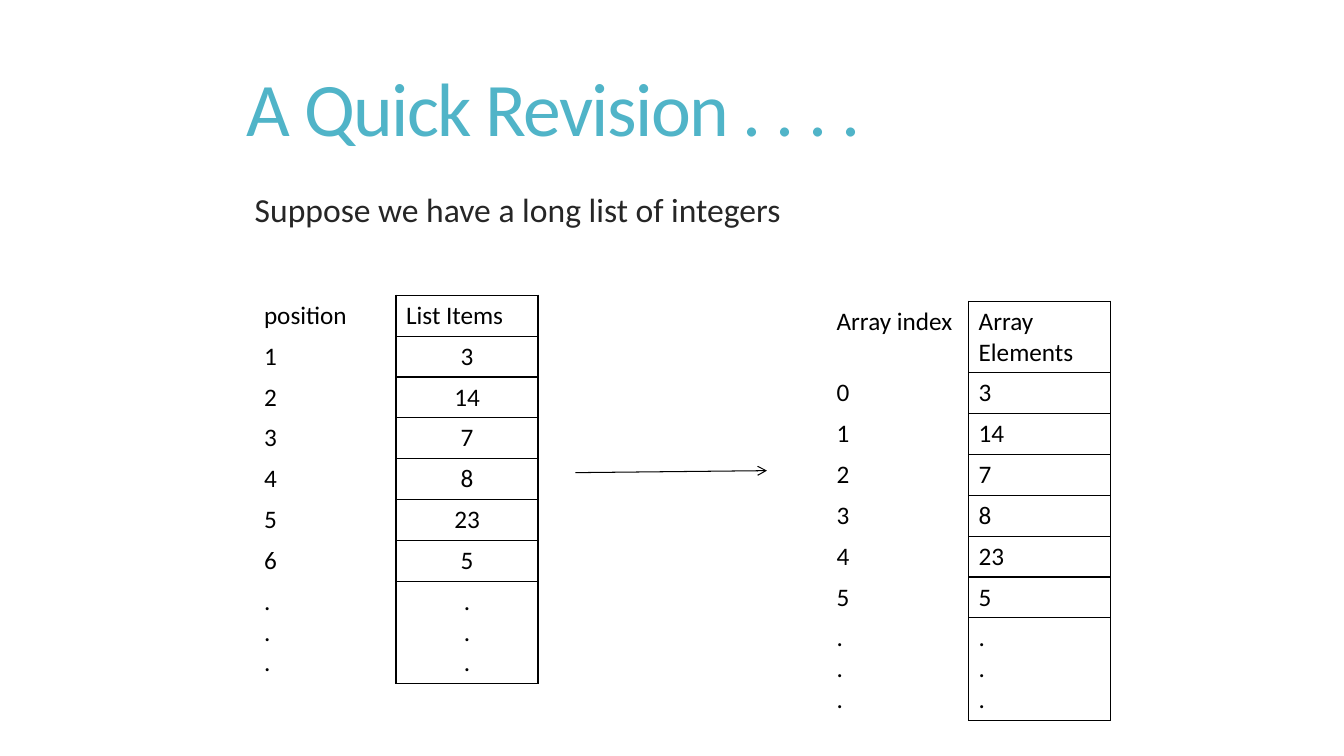
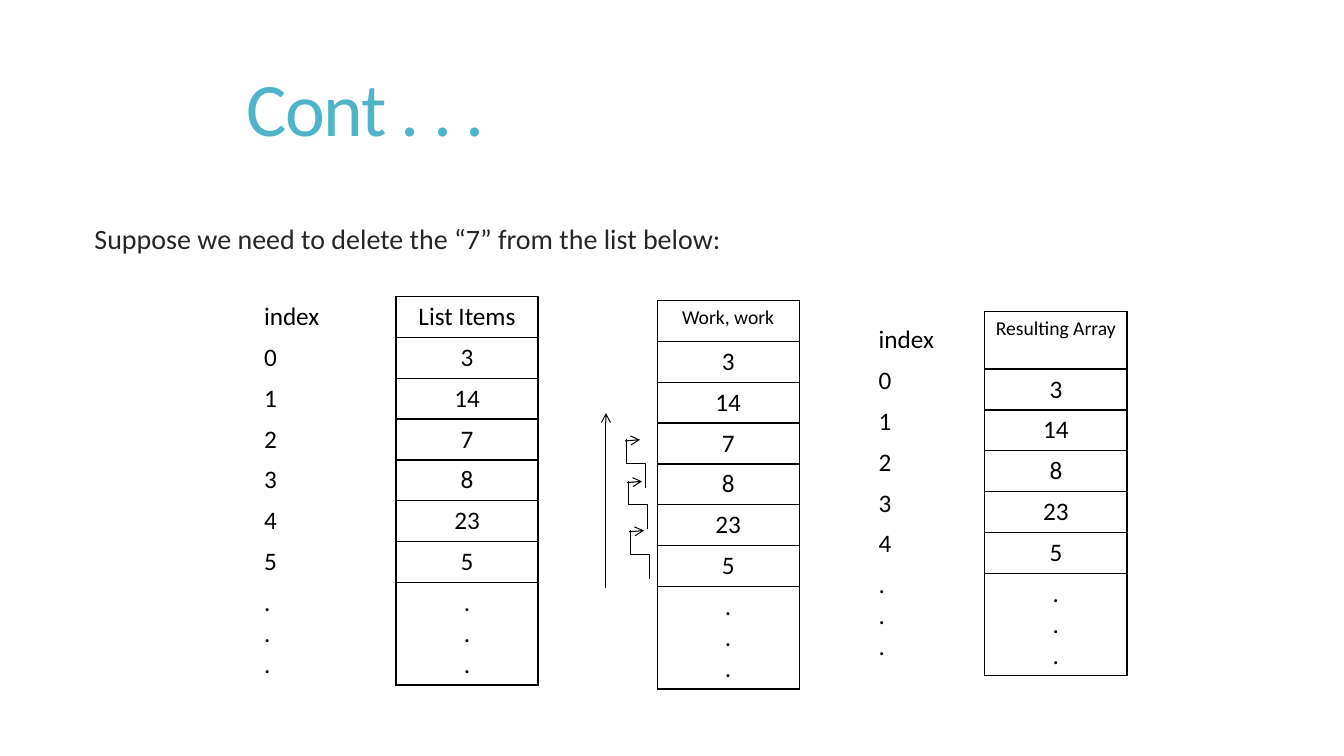
from dataclasses import dataclass
from typing import Optional

from lxml.etree import SubElement
from pptx import Presentation
from pptx.dml.color import RGBColor
from pptx.enum.shapes import MSO_CONNECTOR
from pptx.enum.text import MSO_ANCHOR, MSO_AUTO_SIZE, PP_ALIGN
from pptx.oxml import parse_xml
from pptx.oxml.ns import nsdecls, qn
from pptx.util import Cm, Pt

# Shared look
FONT = "Calibri"
TITLE_COLOR = "50B4C8"
BODY_COLOR = "262626"
BLACK = "000000"
WHITE = "FFFFFF"
PLAIN_TABLE_STYLE = "{2D5ABB26-0587-4C30-8999-92F81FD0307C}"
LEFT, CENTER = PP_ALIGN.LEFT, PP_ALIGN.CENTER

# Shared table measures, in centimetres
COLUMN_WIDTH = 3.58
ROW_HEIGHT = 1.03
DOTS_HEIGHT = 2.58
DOTS = ".\n.\n."


@dataclass
class Column:
    header: str
    values: list
    boxed: bool = True
    align: PP_ALIGN = CENTER
    header_align: PP_ALIGN = CENTER
    header_size: int = 18
    width: float = COLUMN_WIDTH


@dataclass
class Listing:
    left: float
    top: float
    columns: list
    header_height: float = ROW_HEIGHT


@dataclass
class Point:
    x: float
    y: float

    def moved(self, right: float, down: float) -> "Point":
        return Point(self.x + right, self.y + down)


def color(code: str) -> RGBColor:
    return RGBColor.from_string(code)


def write(frame, text: str, *, size: int, ink: str = BLACK, align=LEFT,
          line_spacing: Optional[float] = None, tracking: float = 0,
          indent: float = 0) -> None:
    """Fill a text frame, one paragraph for each line of the text."""
    frame.word_wrap = True
    for number, line in enumerate(text.split("\n")):
        para = frame.paragraphs[0] if number == 0 else frame.add_paragraph()
        para.alignment = align
        if line_spacing:
            para.line_spacing = line_spacing
        if indent:
            para._p.get_or_add_pPr().set("marL", str(Cm(indent)))
        span = para.add_run()
        span.text = line
        span.font.name = FONT
        span.font.size = Pt(size)
        span.font.color.rgb = color(ink)
        if tracking:
            span._r.get_or_add_rPr().set("spc", str(round(tracking * 100)))


def add_page(deck, title: str):
    page = deck.slides.add_slide(deck.slide_layouts[5])
    box = page.shapes.title
    box.left, box.top, box.width, box.height = Cm(5.97), Cm(1.02), Cm(21.9), Cm(3.68)
    frame = box.text_frame
    frame.auto_size = MSO_AUTO_SIZE.NONE
    frame.vertical_anchor = MSO_ANCHOR.MIDDLE
    write(frame, title, size=54, ink=TITLE_COLOR, line_spacing=0.85, tracking=-1.2)
    return page


def add_statement(page, text: str, left: float, top: float, width: float,
                  height: float, size: int, indent: float) -> None:
    box = page.shapes.add_textbox(Cm(left), Cm(top), Cm(width), Cm(height))
    write(box.text_frame, text, size=size, ink=BODY_COLOR, line_spacing=0.85,
          indent=indent)


def add_borders(cell) -> None:
    properties = cell._tc.get_or_add_tcPr()
    for position, side in enumerate("LRTB"):
        border = parse_xml(
            f'<a:ln{side} {nsdecls("a")} w="{Pt(1)}"><a:solidFill>'
            f'<a:srgbClr val="{BLACK}"/></a:solidFill></a:ln{side}>')
        properties.insert(position, border)


def add_listing(page, listing: Listing) -> None:
    """Draw columns side by side; the last row holds the dots."""
    count = len(listing.columns[0].values)
    heights = [listing.header_height] + [ROW_HEIGHT] * count + [DOTS_HEIGHT]
    width = sum(column.width for column in listing.columns)
    table = page.shapes.add_table(
        len(heights), len(listing.columns), Cm(listing.left), Cm(listing.top),
        Cm(width), Cm(sum(heights))).table
    table.first_row = table.horz_banding = False
    table._tbl.tblPr.find(qn("a:tableStyleId")).text = PLAIN_TABLE_STYLE
    for row, height in zip(table.rows, heights):
        row.height = Cm(height)
    for place, column in enumerate(listing.columns):
        table.columns[place].width = Cm(column.width)
        for number, value in enumerate([column.header, *column.values, DOTS]):
            cell = table.cell(number, place)
            cell.fill.solid()
            cell.fill.fore_color.rgb = color(WHITE)
            is_header = number == 0
            write(cell.text_frame, str(value),
                  size=column.header_size if is_header else 18,
                  align=column.header_align if is_header else column.align)
            if column.boxed:
                add_borders(cell)


def add_line(page, start: Point, end: Point, kind=MSO_CONNECTOR.STRAIGHT,
             arrow: bool = True):
    line = page.shapes.add_connector(kind, Cm(start.x), Cm(start.y),
                                     Cm(end.x), Cm(end.y))
    line.line.color.rgb = color(BLACK)
    line.line.width = Pt(0.75)
    if arrow:
        SubElement(line.line._get_or_add_ln(), qn("a:tailEnd"), type="arrow")
    SubElement(line._element.spPr, qn("a:effectLst"))
    return line


def add_shift(page, foot: Point) -> None:
    """Draw a step that climbs one row, with an arrow at its top."""
    rise, run = 1.23, 0.48
    middle = foot.moved(-run / 2, -rise / 2)
    step = add_line(page, middle.moved(-rise / 2, run / 2),
                    middle.moved(rise / 2, -run / 2),
                    MSO_CONNECTOR.ELBOW, arrow=False)
    step._element.spPr.find(qn("a:xfrm")).set("rot", str(270 * 60000))
    tip = foot.moved(-0.51, -1.18)
    add_line(page, tip, tip.moved(0.38, -0.03))


def labels(header: str, values, width: float = COLUMN_WIDTH) -> Column:
    return Column(header, list(values), boxed=False, align=LEFT,
                  header_align=LEFT, width=width)


deck = Presentation()
deck.slide_width, deck.slide_height = Cm(33.87), Cm(19.05)
NUMBERS = [3, 14, 7, 8, 23, 5]
REMAINING = [number for number in NUMBERS if number != 7]

# Slide 1: a list stored as an array
page = add_page(deck, "A Quick Revision . . . .")
add_statement(page, "Suppose we have a long list of integers",
              5.72, 4.78, 21.9, 12.09, size=24, indent=0.45)
add_listing(page, Listing(20.83, 7.59, [
    labels("Array index", range(6)),
    Column("Array Elements", NUMBERS, align=LEFT, header_align=LEFT),
], header_height=1.8))
add_line(page, Point(14.5, 11.91), Point(19.33, 11.86))
add_listing(page, Listing(6.4, 7.44, [
    labels("position", range(1, 7)),
    Column("List Items", NUMBERS, header_align=LEFT),
]))

# Slide 2: deleting an element
page = add_page(deck, "Cont . . .")
add_statement(page, "Suppose we need to delete the “7” from the list below:",
              1.88, 5.59, 29.87, 10.46, size=20, indent=0.25)
for listing in (
    Listing(6.4, 7.47, [labels("index", range(6)), Column("List Items", NUMBERS)]),
    Listing(16.56, 7.57, [Column("Work, work", NUMBERS, header_size=14)]),
    Listing(24.82, 7.85, [Column("Resulting Array", REMAINING, header_size=14)],
            header_height=1.45),
    Listing(21.89, 8.05, [labels("index", range(5), width=2.57)]),
):
    add_listing(page, listing)

# Elements moving up, and the direction of the work
for foot in (Point(16.36, 14.58), Point(16.31, 13.34), Point(16.26, 12.29)):
    add_shift(page, foot)
add_line(page, Point(15.27, 14.81), Point(15.27, 10.41))

deck.save("out.pptx")
